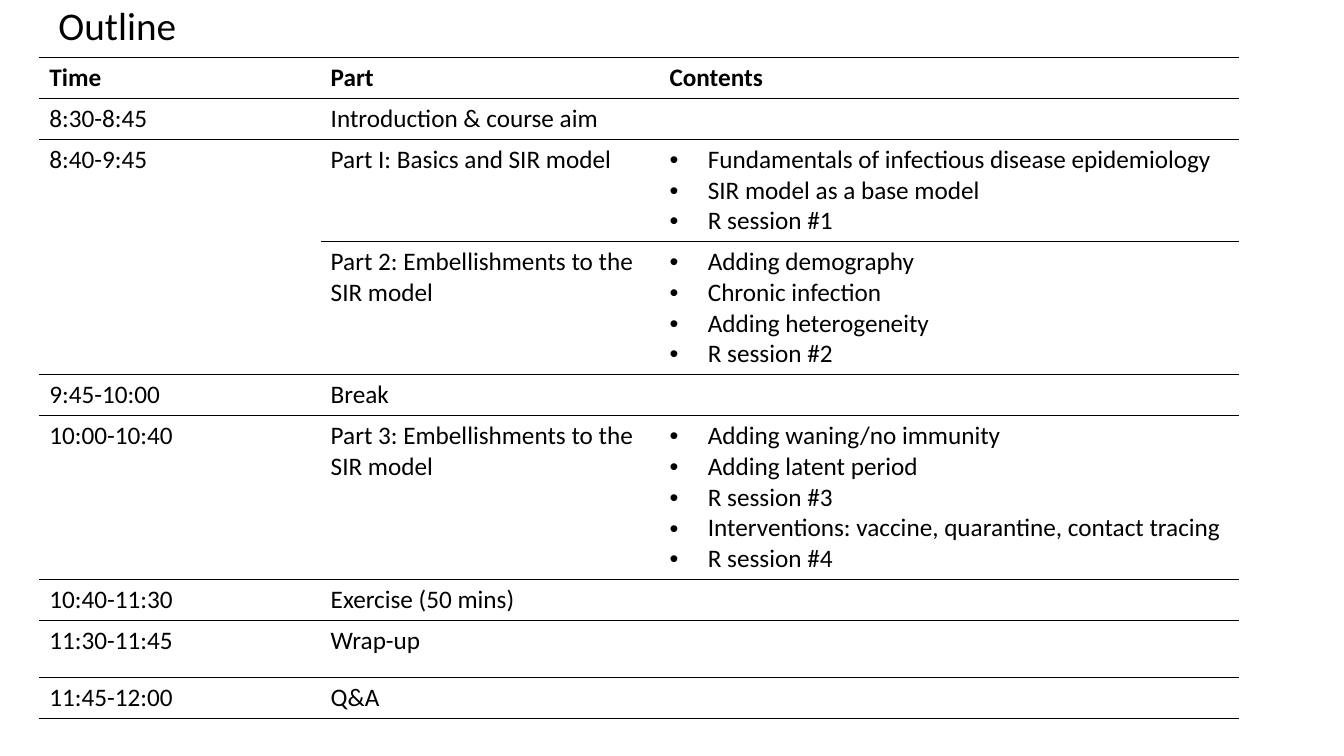
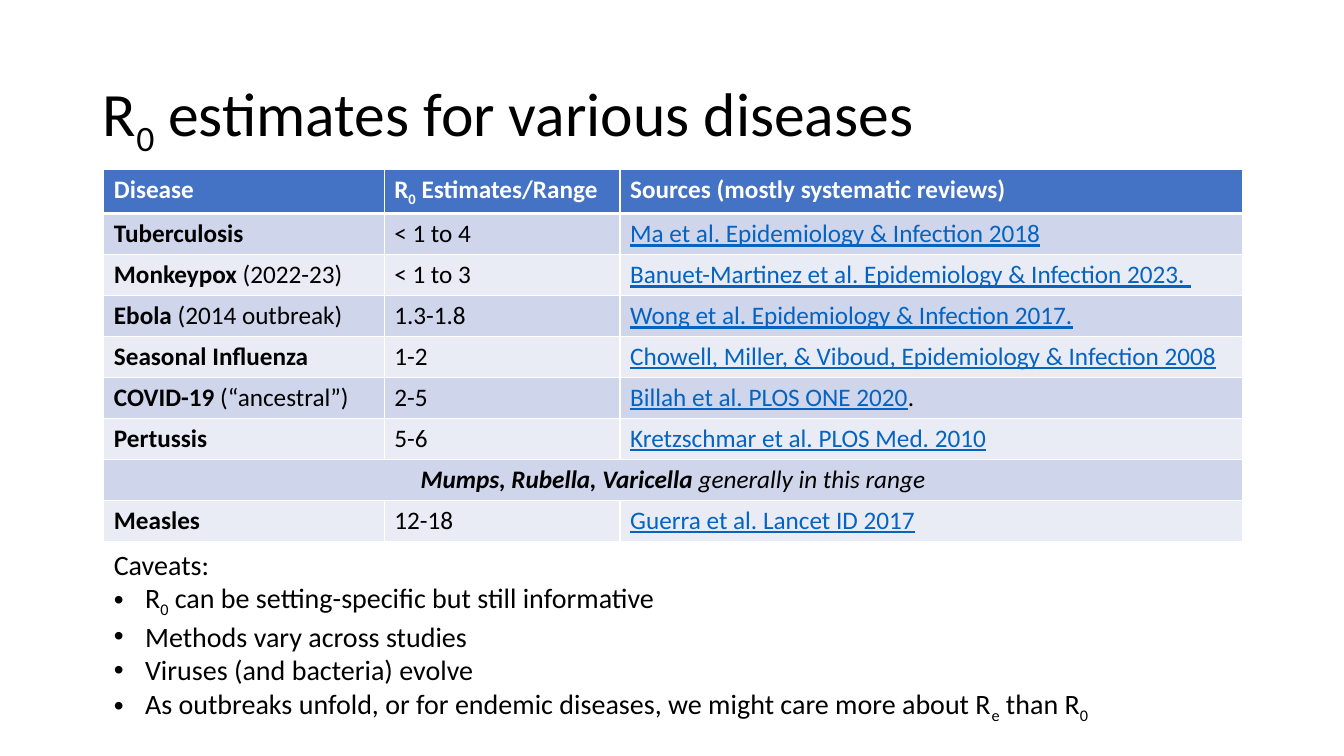
from itertools import groupby
from lxml.etree import SubElement
from pptx import Presentation
from pptx.dml.color import RGBColor
from pptx.enum.text import MSO_ANCHOR, MSO_AUTO_SIZE, PP_ALIGN
from pptx.oxml import parse_xml
from pptx.oxml.ns import nsdecls, qn
from pptx.util import Inches, Pt

prs = Presentation()
prs.slide_width, prs.slide_height = Inches(13.33), Inches(7.5)
W, H = prs.slide_width / 100, prs.slide_height / 100
FONT, BLACK, WHITE, LINK = "Calibri", "000000", "FFFFFF", "0563C1"
HEAD, BANDS = "4472C4", ["E9EBF5", "CFD5EA"]
MARKS = {"*": {"bold": True}, "_": {"italic": True}, "^": {"underline": True}, "~": {}}


def box(left, top, width, height):
    return [int(v) for v in (left * W, top * H, width * W, height * H)]


def write(tf, text, size, color=BLACK, indent=0.38):
    for n, line in enumerate(text.split("\n")):
        p = tf.add_paragraph() if n else tf.paragraphs[0]
        p.alignment = PP_ALIGN.LEFT
        if line.startswith("• "):
            line = line[2:]
            pPr = p._p.get_or_add_pPr()
            pPr.set("marL", str(Inches(indent)))
            pPr.set("indent", str(-Inches(indent)))
            SubElement(pPr, qn("a:buFont")).set("typeface", "Arial")
            SubElement(pPr, qn("a:buChar")).set("char", "•")
        active = set()
        for is_mark, chars in groupby(line, lambda c: c in MARKS):
            part = "".join(chars)
            if is_mark:
                active ^= set(part)
                continue
            r = p.add_run()
            r.text = part
            fmt = {"name": FONT, "size": Pt(size), "bold": False}
            for mark in active:
                fmt.update(MARKS[mark])
            for name, value in fmt.items():
                setattr(r.font, name, value)
            r.font.color.rgb = RGBColor.from_string(LINK if "^" in active else color)
            if "~" in active:
                r._r.get_or_add_rPr().set("baseline", "-25000")


outline = [
    ["*Time*", "*Part*", "*Contents*"],
    ["8:30-8:45", "Introduction & course aim", ""],
    ["8:40-9:45", "Part I: Basics and SIR model",
     "• Fundamentals of infectious disease epidemiology\n• SIR model as a base model\n• R session #1"],
    ["", "Part 2: Embellishments to the SIR model",
     "• Adding demography\n• Chronic infection\n• Adding heterogeneity\n• R session #2"],
    ["9:45-10:00", "Break", ""],
    ["10:00-10:40", "Part 3: Embellishments to the SIR model",
     "• Adding waning/no immunity\n• Adding latent period\n• R session #3\n"
     "• Interventions: vaccine, quarantine, contact tracing\n• R session #4"],
    ["10:40-11:30", "Exercise (50 mins)", ""],
    ["11:30-11:45", "Wrap-up", ""],
    ["11:45-12:00", "Q&A", ""],
]
estimates = [
    ["*Disease*", "*R~0~ Estimates/Range*", "*Sources (mostly systematic reviews)*"],
    ["*Tuberculosis*", "< 1 to 4", "^Ma et al. Epidemiology & Infection 2018^"],
    ["*Monkeypox *(2022-23)", "< 1 to 3", "^Banuet-Martinez et al. Epidemiology & Infection 2023. ^"],
    ["*Ebola *(2014 outbreak)", "1.3-1.8", "^Wong et al. Epidemiology & Infection 2017.^"],
    ["*Seasonal Influenza*", "1-2", "^Chowell, Miller, & Viboud, Epidemiology & Infection 2008^"],
    ["*COVID-19 *(“ancestral”)", "2-5", "^Billah et al. PLOS ONE 2020^."],
    ["*Pertussis*", "5-6", "^Kretzschmar et al. PLOS Med. 2010^"],
    ["_*Mumps, Rubella, Varicella *generally in this range_", "", ""],
    ["*Measles*", "12-18", "^Guerra et al. Lancet ID 2017^"],
]
slides = [
    {"title": "Outline", "size": 28, "title_at": (3.6, -2.4, 86.27, 12.27),
     "cells": outline, "table_at": (2.93, 7.6), "cols": [20.93, 25.21, 43.14],
     "rows": [5.33, 5.33, 12.67, 16.93, 5.33, 16.93, 5.33, 7.6, 5.33],
     "merge": ((2, 0), (3, 0)), "banded": False},
    {"title": "R~0~ estimates for various diseases", "size": 44,
     "title_at": (6.9, 5.33, 86.27, 19.33),
     "cells": estimates, "table_at": (7.73, 22.4), "cols": [20.86, 17.55, 46.29],
     "rows": [5.42] * 9, "merge": ((7, 0), (7, 2)), "banded": True},
]

for d in slides:
    s = prs.slides.add_slide(prs.slide_layouts[5])
    title = s.shapes.title
    title.left, title.top, title.width, title.height = box(*d["title_at"])
    tf = title.text_frame
    for name, value in {"vertical_anchor": MSO_ANCHOR.MIDDLE, "word_wrap": True,
                        "auto_size": MSO_AUTO_SIZE.NONE}.items():
        setattr(tf, name, value)
    write(tf, d["title"], d["size"])
    tf.paragraphs[0].line_spacing = 0.9

    cells, banded = d["cells"], d["banded"]
    at = box(*d["table_at"], sum(d["cols"]), sum(d["rows"]))
    table = s.shapes.add_table(len(cells), len(d["cols"]), *at).table
    table.first_row = table.horz_banding = False
    for col, width in zip(table.columns, d["cols"]):
        col.width = int(width * W)
    for row, height in zip(table.rows, d["rows"]):
        row.height = int(height * H)

    for i, texts in enumerate(cells):
        for j, text in enumerate(texts):
            cell = table.cell(i, j)
            header = banded and i == 0
            write(cell.text_frame, text, 18, WHITE if header else BLACK)
            if banded:
                cell.fill.solid()
                cell.fill.fore_color.rgb = RGBColor.from_string(HEAD if header else BANDS[i % 2])
            else:
                cell.fill.background()
            tcPr = cell._tc.get_or_add_tcPr()
            for k, side in enumerate("LRTB"):
                thick = banded and (i, side) in ((0, "B"), (1, "T"))
                color = WHITE if banded else BLACK
                paint = f'<a:solidFill><a:srgbClr val="{color}"/></a:solidFill>'
                if not banded and side in "LR":
                    paint = "<a:noFill/>"
                tcPr.insert(k, parse_xml(
                    f'<a:ln{side} {nsdecls("a")} w="{Pt(3 if thick else 1)}">{paint}</a:ln{side}>'))

    first, last = d["merge"]
    table.cell(*first).merge(table.cell(*last))
    if banded:
        cell = table.cell(*first)
        cell.vertical_anchor = MSO_ANCHOR.MIDDLE
        cell.text_frame.paragraphs[0].alignment = PP_ALIGN.CENTER

tf = s.shapes.add_textbox(*box(7.73, 71.73, 81.4, 28.27)).text_frame
tf.word_wrap = True
tf.auto_size = MSO_AUTO_SIZE.SHAPE_TO_FIT_TEXT
write(tf, "Caveats:\n• R~0~ can be setting-specific but still informative\n"
          "• Methods vary across studies\n• Viruses (and bacteria) evolve\n"
          "• As outbreaks unfold, or for endemic diseases, we might care more about R~e~ than R~0~",
      20, indent=0.31)

prs.save("out.pptx")
